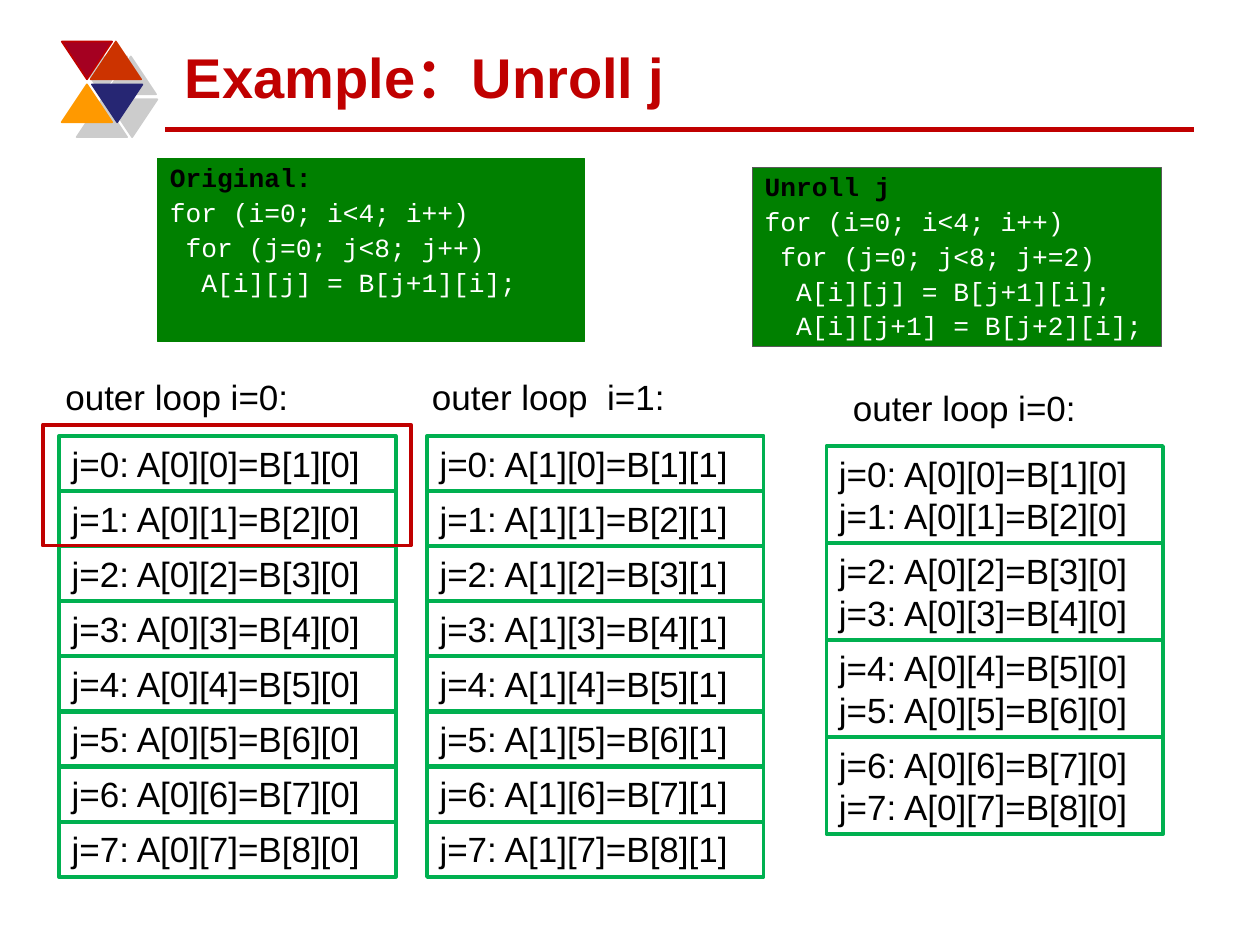
from lxml.etree import SubElement
from pptx import Presentation
from pptx.dml.color import RGBColor
from pptx.enum.shapes import MSO_CONNECTOR, MSO_SHAPE
from pptx.enum.text import MSO_ANCHOR, MSO_AUTO_SIZE, PP_ALIGN
from pptx.oxml.ns import qn
from pptx.util import Inches, Pt

COLORS = {
    "red": "C00000", "wine": "A50021", "rust": "CC3300", "gold": "FF9900",
    "navy": "262673", "code": "008000", "frame": "00B050", "gray": "595959",
    "black": "000000", "white": "FFFFFF",
}
ROW_H, PAIR_H, ROW_W = 0.44, 0.77, 2.67
ROW_STEP = 3.06 / 7


def rgb(name):
    return RGBColor.from_string(COLORS[name])


def add_run(para, text, size, color, font="Arial", bold=False):
    run = para.add_run()
    run.text = text
    run.font.size = Pt(size)
    run.font.name = font
    run.font.bold = bold
    run.font.color.rgb = rgb(color)


def next_para(frame, index):
    para = frame.paragraphs[0] if index == 0 else frame.add_paragraph()
    para.alignment = PP_ALIGN.LEFT
    return para


def add_box(slide, kind, place, fill, line, width):
    box = slide.shapes.add_shape(kind, *map(Inches, place))
    box.shadow.inherit = False
    if fill:
        box.fill.solid()
        box.fill.fore_color.rgb = rgb(fill)
    else:
        box.fill.background()
    box.line.color.rgb = rgb(line)
    box.line.width = Pt(width)
    box.text_frame.vertical_anchor = MSO_ANCHOR.TOP
    return box


def add_label(slide, text, place, size=20, color="black", bold=False):
    frame = slide.shapes.add_textbox(*map(Inches, place)).text_frame
    frame.word_wrap = True
    add_run(next_para(frame, 0), text, size, color, bold=bold)
    return frame


def add_shade(shape):
    """Cast a hard, pale shadow down and to the right."""
    effects = shape._element.spPr.find(qn("a:effectLst"))
    shade = SubElement(effects, qn("a:outerShdw"), blurRad="0",
                       dist=str(Pt(12.1)), dir=str(45 * 60000),
                       algn="ctr", rotWithShape="0")
    color = SubElement(shade, qn("a:srgbClr"), val=COLORS["black"])
    SubElement(color, qn("a:alpha"), val="20000")


def add_header(slide):
    rule = slide.shapes.add_connector(
        MSO_CONNECTOR.STRAIGHT,
        Inches(1.31), Inches(1.03), Inches(9.48), Inches(1.03))
    rule.line.color.rgb = rgb("red")
    rule.line.width = Pt(3)
    SubElement(rule._element.spPr, qn("a:effectLst"))

    for left, top, turn, fill, line in (
            (0.49, 0.33, 180, "wine", "red"), (0.72, 0.33, 0, "rust", "rust"),
            (0.49, 0.67, 0, "gold", "gold"), (0.73, 0.67, 180, "navy", "navy")):
        place = (left, top, 0.4, 0.3)
        piece = add_box(slide, MSO_SHAPE.ISOSCELES_TRIANGLE, place, fill, line, 1)
        piece.rotation = turn
        add_shade(piece)

    title = add_label(slide, "Example：Unroll j", (1.37, 0.25, 8, 0.67),
                      32, "red", True)
    title.vertical_anchor = MSO_ANCHOR.BOTTOM


def add_code(slide, place, line, head, code):
    box = add_box(slide, MSO_SHAPE.RECTANGLE, place, "code", line, 0.75)
    frame = box.text_frame
    frame.word_wrap = True
    for index, text in enumerate([head] + code):
        para = next_para(frame, index)
        props = para._p.get_or_add_pPr()
        props.set("marL", str(Inches(0.38)))
        props.set("indent", str(Inches(-0.38)))
        para.line_spacing = 0.9
        if index:
            para.space_before = Pt(3.7)
        add_run(para, text, 15, "white" if index else "black",
                "Courier New", index == 0)


def add_steps(slide, left, top, i, group, height, step):
    """Stack the eight inner steps of outer loop i, some per box."""
    for row, first in enumerate(range(0, 8, group)):
        place = (left, top + row * step, ROW_W, height)
        box = add_box(slide, MSO_SHAPE.RECTANGLE, place, None, "frame", 2.25)
        frame = box.text_frame
        frame.word_wrap = True
        frame.auto_size = MSO_AUTO_SIZE.SHAPE_TO_FIT_TEXT
        for index in range(group):
            j = first + index
            add_run(next_para(frame, index),
                    f"j={j}: A[{i}][{j}]=B[{j + 1}][{i}]", 20, "black")


def main():
    deck = Presentation()
    deck.slide_width, deck.slide_height = Inches(10), Inches(7.5)
    slide = deck.slides.add_slide(deck.slide_layouts[6])

    add_header(slide)
    add_code(slide, (1.25, 1.26, 3.39, 1.45), "code", "Original:", [
        "for (i=0; i<4; i++)",
        " for (j=0; j<8; j++)",
        "  A[i][j] = B[j+1][i];",
    ])
    add_code(slide, (5.97, 1.33, 3.25, 1.42), "gray", "Unroll j", [
        "for (i=0; i<4; i++)",
        " for (j=0; j<8; j+=2)",
        "  A[i][j] = B[j+1][i];",
        "  A[i][j+1] = B[j+2][i];",
    ])

    for text, left, top in (("outer loop i=0:", 0.42, 2.93),
                            ("outer loop i=0:", 6.67, 3.02),
                            ("outer loop  i=1:", 3.33, 2.93)):
        add_label(slide, text, (left, top, 2.92, 0.44))

    add_steps(slide, 0.47, 3.46, 0, 1, ROW_H, ROW_STEP)
    add_steps(slide, 6.56, 3.54, 0, 2, PAIR_H, PAIR_H)
    add_steps(slide, 3.39, 3.46, 1, 1, ROW_H, ROW_STEP)
    add_box(slide, MSO_SHAPE.RECTANGLE, (0.34, 3.37, 2.92, 0.96),
            None, "red", 2.25)

    deck.save("out.pptx")


if __name__ == "__main__":
    main()
